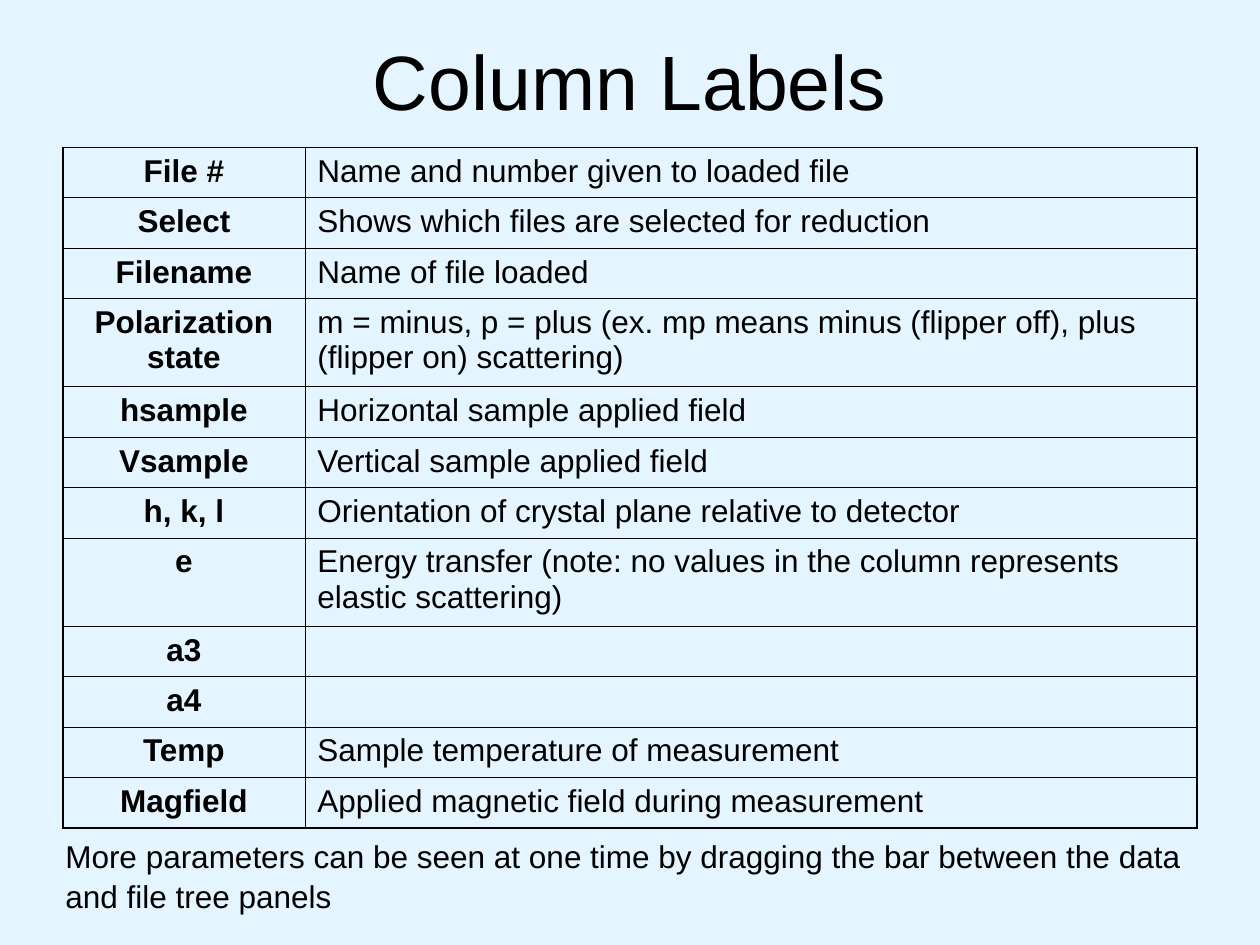
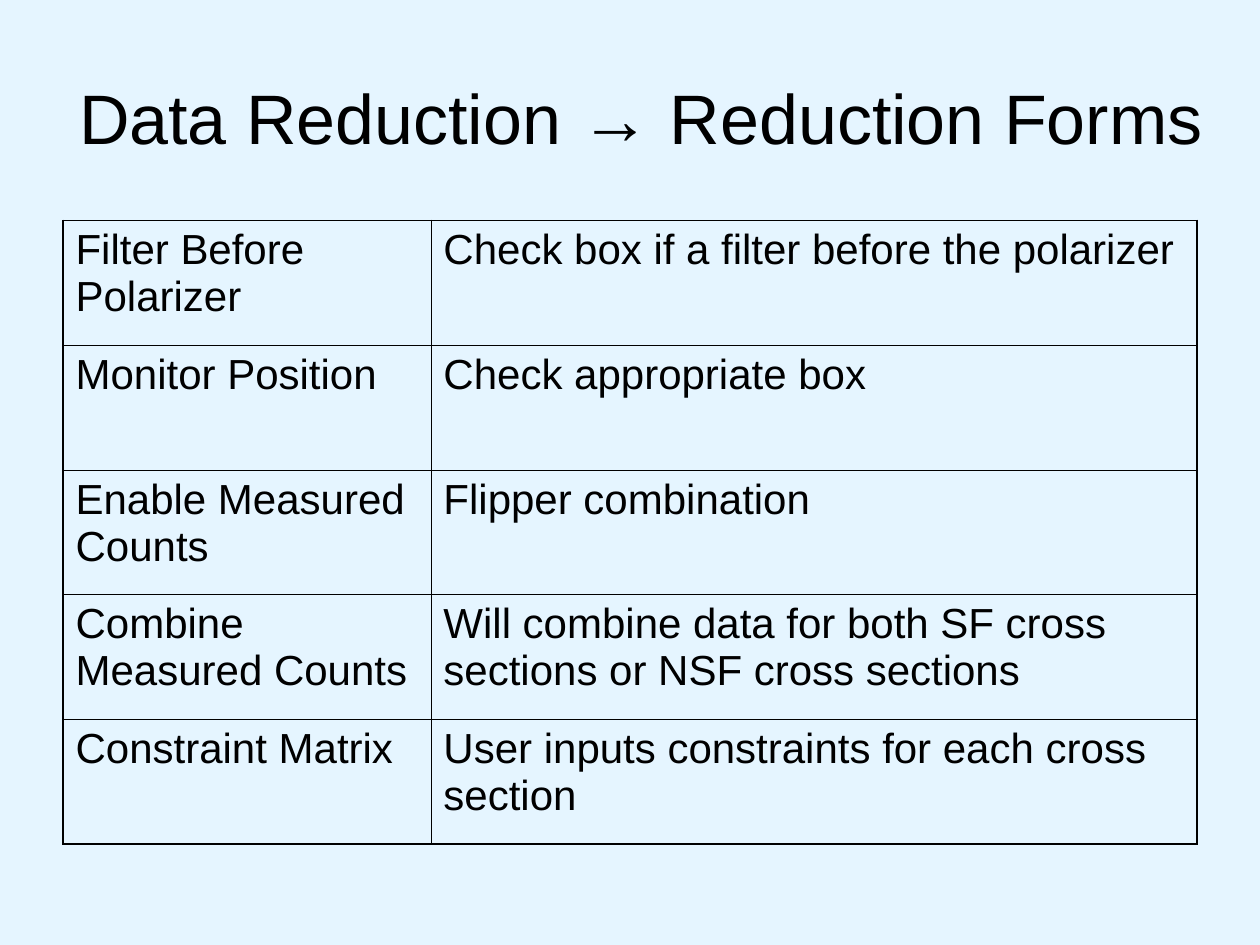
"""Builds two slides of reference tables on data reduction."""
from lxml import etree
from pptx import Presentation
from pptx import util as u
from pptx.dml.color import RGBColor
from pptx.enum import text
from pptx.oxml import ns

COLORS = {"background": "E5F5FF", "ink": "000000"}
FONT = "Arial"
OUTER, INNER = 1.08, 0.45
CENTER, LEFT = text.PP_ALIGN.CENTER, text.PP_ALIGN.LEFT

COLUMN_LABELS = [
    ("File #", "Name and number given to loaded file"),
    ("Select", "Shows which files are selected for reduction"),
    ("Filename", "Name of file loaded"),
    ("Polarization state", "m = minus, p = plus (ex. mp means minus (flipper off), plus (flipper on) scattering)"),
    ("hsample", "Horizontal sample applied field"),
    ("Vsample", "Vertical sample applied field"),
    ("h, k, l", "Orientation of crystal plane relative to detector"),
    ("e", "Energy transfer (note: no values in the column represents elastic scattering)"),
    ("a3", ""),
    ("a4", ""),
    ("Temp", "Sample temperature of measurement"),
    ("Magfield", "Applied magnetic field during measurement"),
]
REDUCTION_FORMS = [
    ("Filter Before Polarizer", "Check box if a filter before the polarizer"),
    ("Monitor Position", "Check appropriate box"),
    ("Enable Measured Counts", "Flipper combination"),
    ("Combine Measured Counts", "Will combine data for both SF cross sections or NSF cross sections"),
    ("Constraint Matrix", "User inputs constraints for each cross section"),
]


def write(frame, words, size=18, bold=False, align=LEFT, spacing=1.0):
    frame.word_wrap = True
    paragraph = frame.paragraphs[0]
    paragraph.text = words
    paragraph.alignment = align
    paragraph.space_before = u.Pt(0)
    paragraph.line_spacing = spacing
    font = paragraph.font
    font.name, font.size, font.bold = FONT, u.Pt(size), bold
    font.color.rgb = RGBColor.from_string(COLORS["ink"])


def add_border(cell, side, width):
    line = etree.SubElement(cell._tc.get_or_add_tcPr(), ns.qn(f"a:ln{side}"), w=str(u.Pt(width)))
    fill = etree.SubElement(line, ns.qn("a:solidFill"))
    etree.SubElement(fill, ns.qn("a:srgbClr"), val=COLORS["ink"])


class Deck:
    def __init__(self):
        self.presentation = Presentation()
        self.presentation.slide_width = u.Inches(10)
        self.presentation.slide_height = u.Inches(7.5)
        self.slide = None

    def add_slide(self):
        self.slide = self.presentation.slides.add_slide(self.presentation.slide_layouts[5])
        fill = self.slide.background.fill
        fill.solid()
        fill.fore_color.rgb = RGBColor.from_string(COLORS["background"])

    def title(self, words, top, width, height, size):
        shape = self.slide.shapes.title
        shape.left, shape.top = u.Inches(0.5), u.Inches(top)
        shape.width, shape.height = u.Inches(width), u.Inches(height)
        frame = shape.text_frame
        frame.auto_size = text.MSO_AUTO_SIZE.NONE
        frame.vertical_anchor = text.MSO_ANCHOR.MIDDLE
        write(frame, words, size=size, align=CENTER)

    def table(self, rows, top, widths, heights, size, label_format):
        shape = self.slide.shapes.add_table(
            len(rows), len(widths), u.Inches(0.5), u.Inches(top),
            u.Inches(sum(widths)), u.Inches(sum(heights)))
        table = shape.table
        table.first_row = table.horz_banding = False
        for column, width in zip(table.columns, widths):
            column.width = u.Inches(width)
        last_row, last_column = len(rows) - 1, len(widths) - 1
        for i, (row, height) in enumerate(zip(rows, heights)):
            table.rows[i].height = u.Inches(height)
            for j, words in enumerate(row):
                cell = table.cell(i, j)
                edges = {"L": j == 0, "R": j == last_column, "T": i == 0, "B": i == last_row}
                for side, is_outer in edges.items():
                    add_border(cell, side, OUTER if is_outer else INNER)
                cell.fill.background()
                write(cell.text_frame, words, size=size, **(label_format if j == 0 else {}))

    def note(self, words, left, top, width, height):
        box = self.slide.shapes.add_textbox(
            u.Inches(left), u.Inches(top), u.Inches(width), u.Inches(height))
        write(box.text_frame, words, spacing=1.05)


def main():
    deck = Deck()

    deck.add_slide()
    deck.title("Column Labels", top=0.17, width=9, height=0.92, size=44)
    two_line_labels = {"Polarization state", "e"}
    heights = [0.7 if label in two_line_labels else 0.4 for label, _ in COLUMN_LABELS]
    deck.table(COLUMN_LABELS, 1.17, (1.92, 7.08), heights, 18, {"bold": True, "align": CENTER})
    deck.note("More parameters can be seen at one time by dragging the bar between the data "
              "and file tree panels", 0.42, 6.58, 9.25, 0.7)

    deck.add_slide()
    deck.title("Data Reduction → Reduction Forms", top=0.3, width=9.17, height=1.25, size=40)
    deck.table(REDUCTION_FORMS, 1.75, (2.92, 6.08), [0.99] * len(REDUCTION_FORMS), 24, {})

    deck.presentation.save("out.pptx")


if __name__ == "__main__":
    main()
